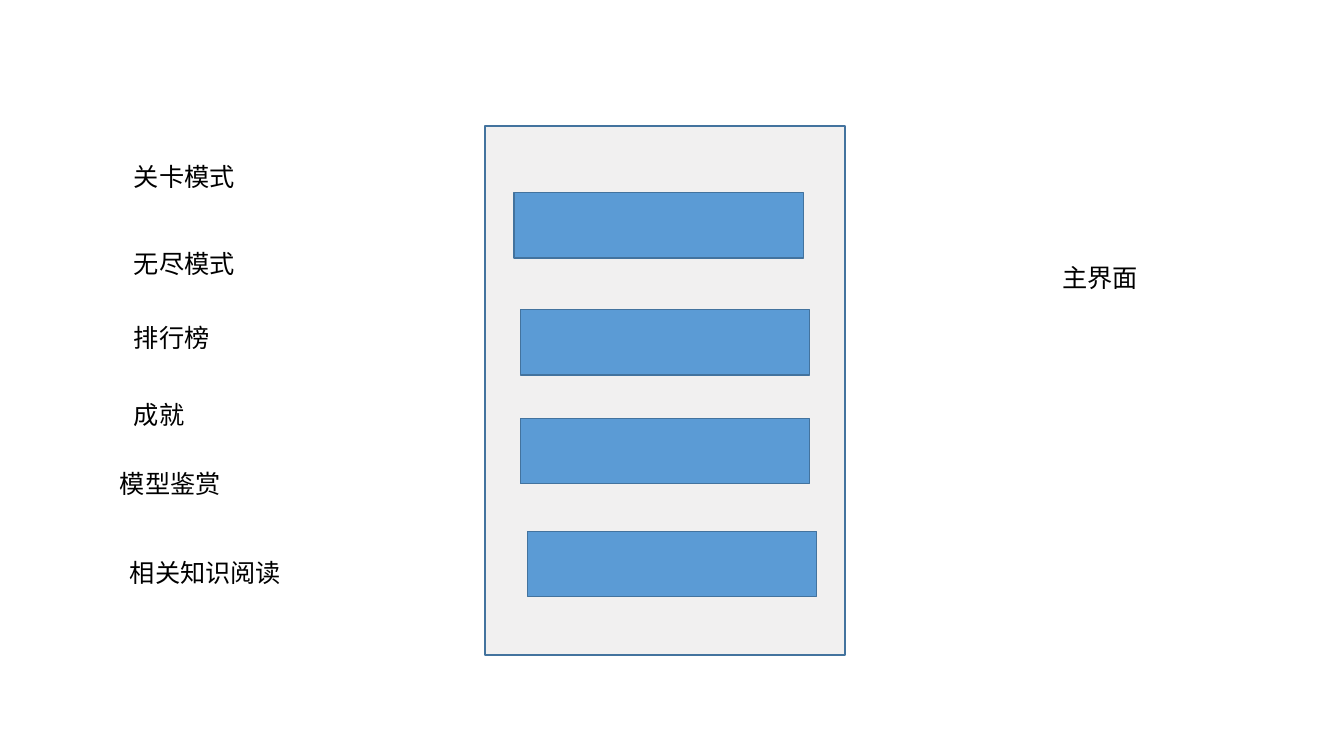
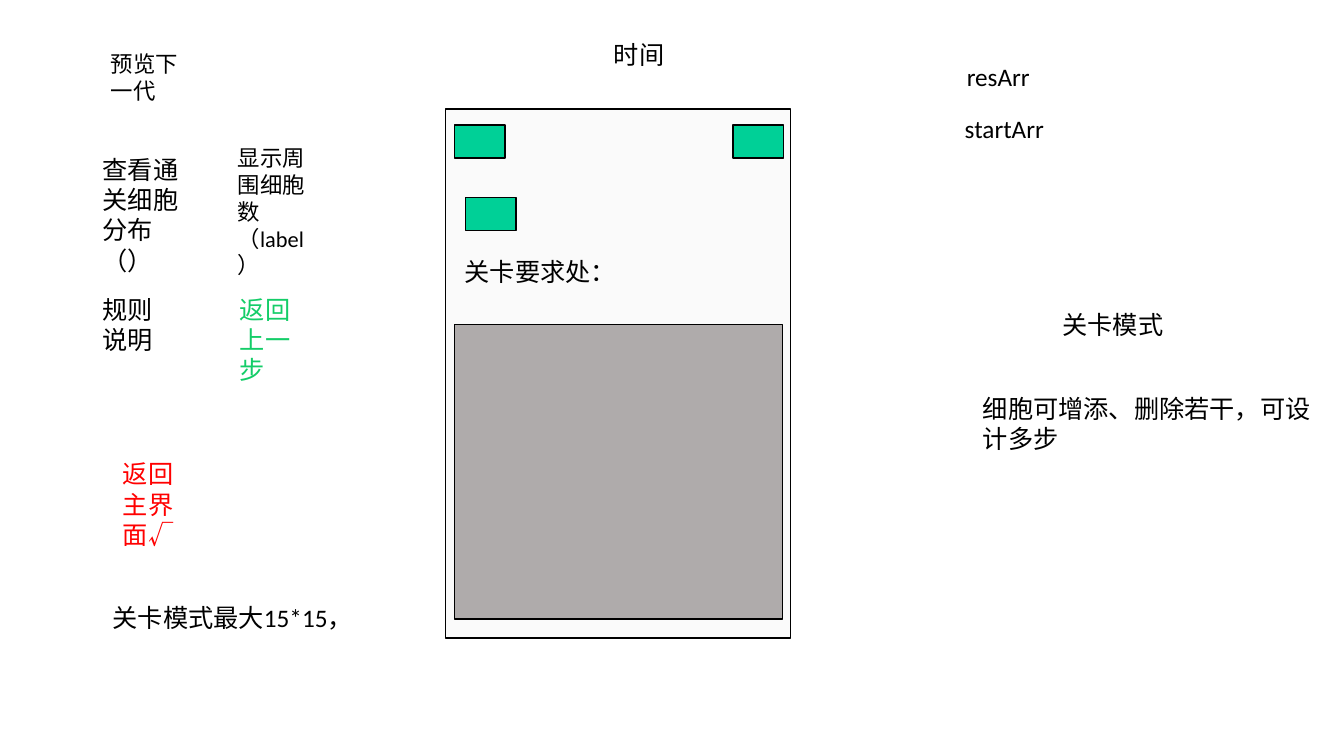
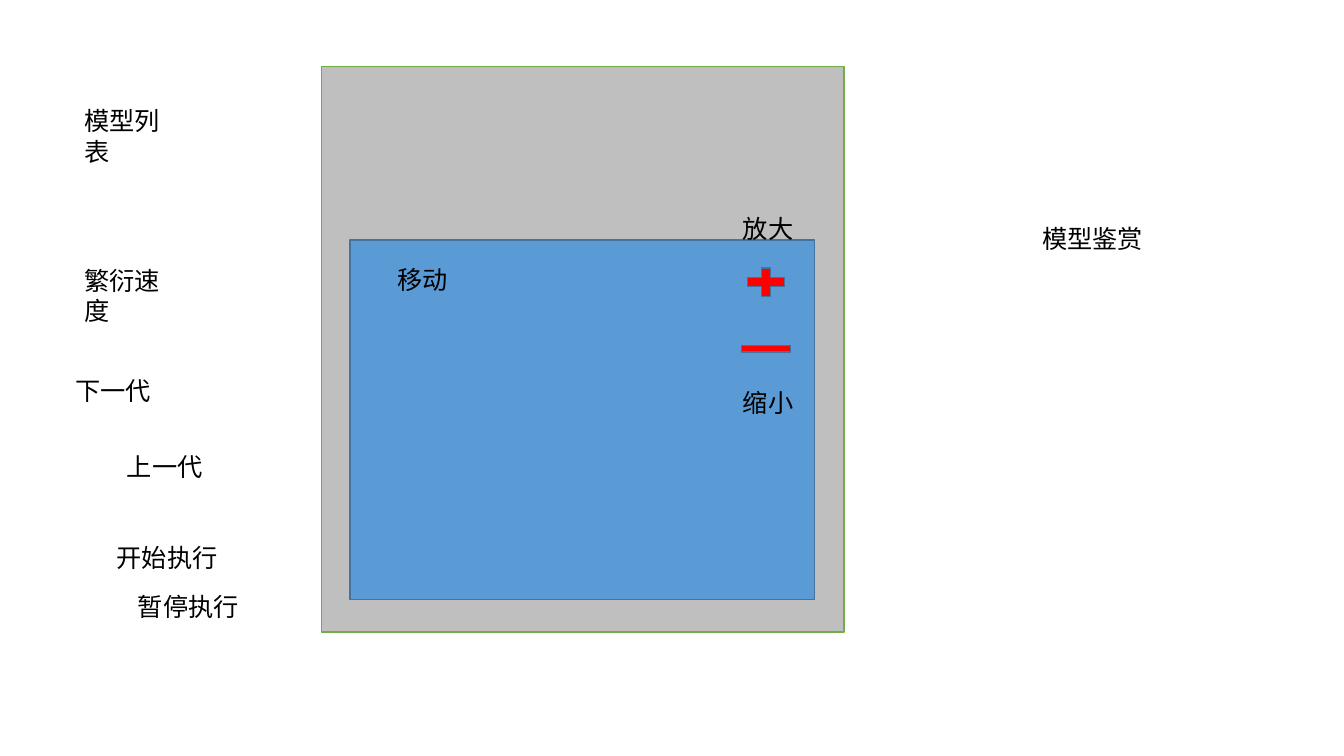
"""Build three interface sketches for a cell game: main menu, level mode, model viewer."""
from pptx import Presentation
from pptx.dml.color import RGBColor
from pptx.enum.lang import MSO_LANGUAGE_ID
from pptx.enum.shapes import MSO_SHAPE
from pptx.enum.text import MSO_AUTO_SIZE
from pptx.util import Emu, Pt

RECT = MSO_SHAPE.RECTANGLE
PLUS = MSO_SHAPE.MATH_PLUS
MINUS = MSO_SHAPE.MATH_MINUS
GROW = MSO_AUTO_SIZE.SHAPE_TO_FIT_TEXT
CHINESE = MSO_LANGUAGE_ID.SIMPLIFIED_CHINESE
PX = 9144
FONT = "Calibri"
BLACK, RED, GREEN = "000000", "FF0000", "14CD68"
BLUE, NAVY, MINT = "5B9BD5", "43739E", "00D097"


def add_box(s, x, y, w, h, fill, line=NAVY, kind=RECT):
    sp = s.shapes.add_shape(kind, *[Emu(v * PX) for v in (x, y, w, h)])
    sp.shadow.inherit = False
    sp.fill.solid()
    sp.fill.fore_color.rgb = RGBColor.from_string(fill)
    sp.line.color.rgb = RGBColor.from_string(line)
    sp.line.width = Pt(1)


def add_text(s, text, x, y, w, h=40, size=18, color=BLACK):
    tf = s.shapes.add_textbox(*[Emu(v * PX) for v in (x, y, w, h)]).text_frame
    tf.word_wrap = True
    tf.auto_size = GROW
    r = tf.paragraphs[0].add_run()
    r.text = text
    r.font.name = FONT
    r.font.size = Pt(size)
    r.font.language_id = CHINESE
    r.font.color.rgb = RGBColor.from_string(color)


prs = Presentation()
prs.slide_width, prs.slide_height = Emu(1333 * PX), Emu(750 * PX)
blank = prs.slide_layouts[6]

s = prs.slides.add_slide(blank)
add_box(s, 481, 125, 357, 525, "F1F0F0")
for x, y in [(510, 191), (516, 307), (516, 415), (523, 527)]:
    add_box(s, x, y, 287, 65, BLUE)
for text, x, y, w in [
    ("关卡模式", 123, 155, 259),
    ("无尽模式", 123, 241, 259),
    ("排行榜", 123, 315, 259),
    ("成就", 123, 391, 259),
    ("模型鉴赏", 109, 460, 222),
    ("相关知识阅读", 119, 548, 198),
    ("主界面", 1044, 255, 170),
]:
    add_text(s, text, x, y, w)

s = prs.slides.add_slide(blank)
add_box(s, 442, 108, 342, 525, "FAFAFA", BLACK)
add_box(s, 451, 322, 325, 292, "AFABAB", BLACK)
for x, y in [(451, 124), (727, 124), (462, 196)]:
    add_box(s, x, y, 50, 33, MINT, BLACK)
add_text(s, "预览下一代", 100, 45, 105, 64, size=16)
add_text(s, "显示周围细胞数（label）", 226, 138, 102, 118, size=16)
add_text(s, "返回上一步", 228, 287, 91, 101, color=GREEN)
add_text(s, "返回主界面√", 112, 450, 81, 101, color=RED)
for text, x, y, w, h in [
    ("查看通关细胞分布（）", 92, 148, 101, 101),
    ("规则说明", 92, 287, 85, 71),
    ("时间", 599, 34, 115, 40),
    ("关卡要求处：", 451, 249, 326, 40),
    ("关卡模式最大15*15，", 102, 593, 963, 40),
    ("resArr", 949, 56, 229, 40),
    ("startArr", 947, 108, 114, 40),
    ("关卡模式", 1044, 302, 133, 40),
    ("细胞可增添、删除若干，可设计多步", 965, 385, 347, 101),
]:
    add_text(s, text, x, y, w, h)

s = prs.slides.add_slide(blank)
add_box(s, 319, 66, 518, 561, "BFBFBF", "70AD47")
add_box(s, 347, 238, 461, 357, BLUE)
add_box(s, 735, 261, 50, 38, RED, kind=PLUS)
add_box(s, 727, 332, 66, 28, RED, kind=MINUS)
for text, x, y, w, h in [
    ("模型列表", 74, 100, 118, 71),
    ("繁衍速度", 74, 258, 95, 71),
    ("下一代", 65, 367, 136, 40),
    ("上一代", 116, 443, 117, 40),
    ("开始执行", 106, 533, 170, 40),
    ("暂停执行", 127, 582, 154, 40),
    ("移动", 384, 257, 95, 40),
    ("放大", 727, 207, 123, 40),
    ("缩小", 727, 379, 123, 40),
    ("模型鉴赏", 1024, 217, 254, 40),
]:
    add_text(s, text, x, y, w, h)

prs.save("out.pptx")
